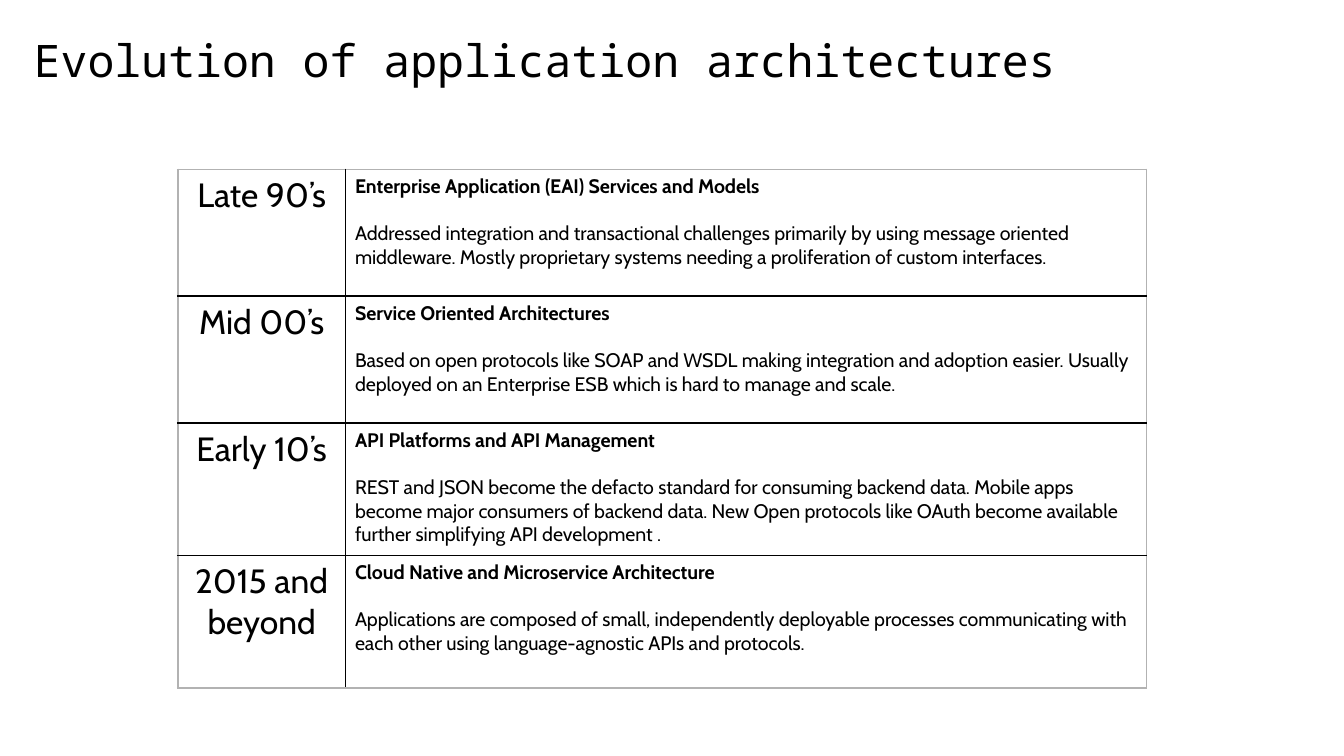
import pptx
import pptx.dml.color
import pptx.enum.text
import pptx.oxml
import pptx.oxml.ns
import pptx.util
from pptx.util import Cm

BLACK, GREY, WHITE = "000000", "B2B2B2", "FFFFFF"
BODY_FONT = "Cabin"
ALIGN = pptx.enum.text.PP_ALIGN
ANCHOR = pptx.enum.text.MSO_ANCHOR

ERAS = [
    ("Late 90’s", "Enterprise Application (EAI) Services and Models",
     "Addressed integration and transactional challenges primarily by using message "
     "oriented middleware. Mostly proprietary systems needing a proliferation of "
     "custom interfaces."),
    ("Mid 00’s", "Service Oriented Architectures",
     "Based on open protocols like SOAP and WSDL making integration and adoption "
     "easier. Usually deployed on an Enterprise ESB which is hard to manage and scale."),
    ("Early 10’s", "API Platforms and API Management",
     "REST and JSON become the defacto standard for consuming backend data. Mobile "
     "apps become major consumers of backend data. New Open protocols like OAuth "
     "become available further simplifying API development ."),
    ("2015 and beyond", "Cloud Native and Microservice Architecture",
     "Applications are composed of small, independently deployable processes "
     "communicating with each other using language-agnostic APIs and protocols."),
]


def color(value):
    return pptx.dml.color.RGBColor.from_string(value)


def write(para, text, size, font=BODY_FONT, bold=False, align=ALIGN.LEFT):
    para.text = text
    para.alignment = align
    para.font.name = font
    para.font.size = pptx.util.Pt(size)
    para.font.bold = bold
    para.font.color.rgb = color(BLACK)


def set_borders(cell, sides):
    """Draw the cell's edges; sides maps L, R, T and B, in that order, to colours."""
    properties = cell._tc.get_or_add_tcPr()
    for index, (side, value) in enumerate(sides.items()):
        properties.insert(index, pptx.oxml.parse_xml(
            f'<a:ln{side} {pptx.oxml.ns.nsdecls("a")} w="12700"><a:solidFill>'
            f'<a:srgbClr val="{value}"/></a:solidFill></a:ln{side}>'))


def add_title(page, left, top, width, height):
    frame = page.shapes.add_textbox(left, top, width, height).text_frame
    frame.word_wrap = True
    frame.vertical_anchor = ANCHOR.BOTTOM
    frame.margin_left = frame.margin_right = frame.margin_top = frame.margin_bottom = 0
    para = frame.paragraphs[0]
    write(para, "Evolution of application architectures", 24, "Noto Sans Mono")
    para.line_spacing = pptx.util.Pt(28)


def add_era_table(page, left, top, width, height):
    table = page.shapes.add_table(len(ERAS), 2, left, top, width, height).table
    table.first_row = table.horz_banding = False

    # Narrow period column; the last two rows are slightly taller
    period_width = Cm(3.17)
    table.columns[0].width = period_width
    table.columns[1].width = width - period_width
    short_row = Cm(2.4)
    tall_row = height // 2 - short_row
    last = len(ERAS) - 1

    for index, (period, heading, description) in enumerate(ERAS):
        table.rows[index].height = short_row if index < 2 else tall_row
        period_cell, detail_cell = table.cell(index, 0), table.cell(index, 1)

        # Grey outer frame, black inner rules
        for column, cell in enumerate((period_cell, detail_cell)):
            cell.margin_left = cell.margin_right = Cm(0.18)
            cell.margin_top = cell.margin_bottom = Cm(0.1)
            cell.fill.solid()
            cell.fill.fore_color.rgb = color(WHITE)
            set_borders(cell, {
                "L": BLACK if column else GREY,
                "R": GREY if column else BLACK,
                "T": BLACK if index else GREY,
                "B": GREY if index == last else BLACK,
            })

        # Period, then heading and description
        write(period_cell.text_frame.paragraphs[0], period, 18, align=ALIGN.CENTER)
        frame = detail_cell.text_frame
        write(frame.paragraphs[0], heading, 10.5, bold=True)
        frame.paragraphs[0].space_after = pptx.util.Pt(12.5)
        write(frame.add_paragraph(), description, 10.5)


def main():
    deck = pptx.Presentation()
    deck.slide_width, deck.slide_height = Cm(25.4), Cm(14.29)
    page = deck.slides.add_slide(deck.slide_layouts[6])
    add_title(page, Cm(0.64), Cm(0.56), Cm(23.47), Cm(1.07))
    add_era_table(page, Cm(3.36), Cm(3.2), Cm(18.31), Cm(9.8))
    deck.save("out.pptx")


if __name__ == "__main__":
    main()
